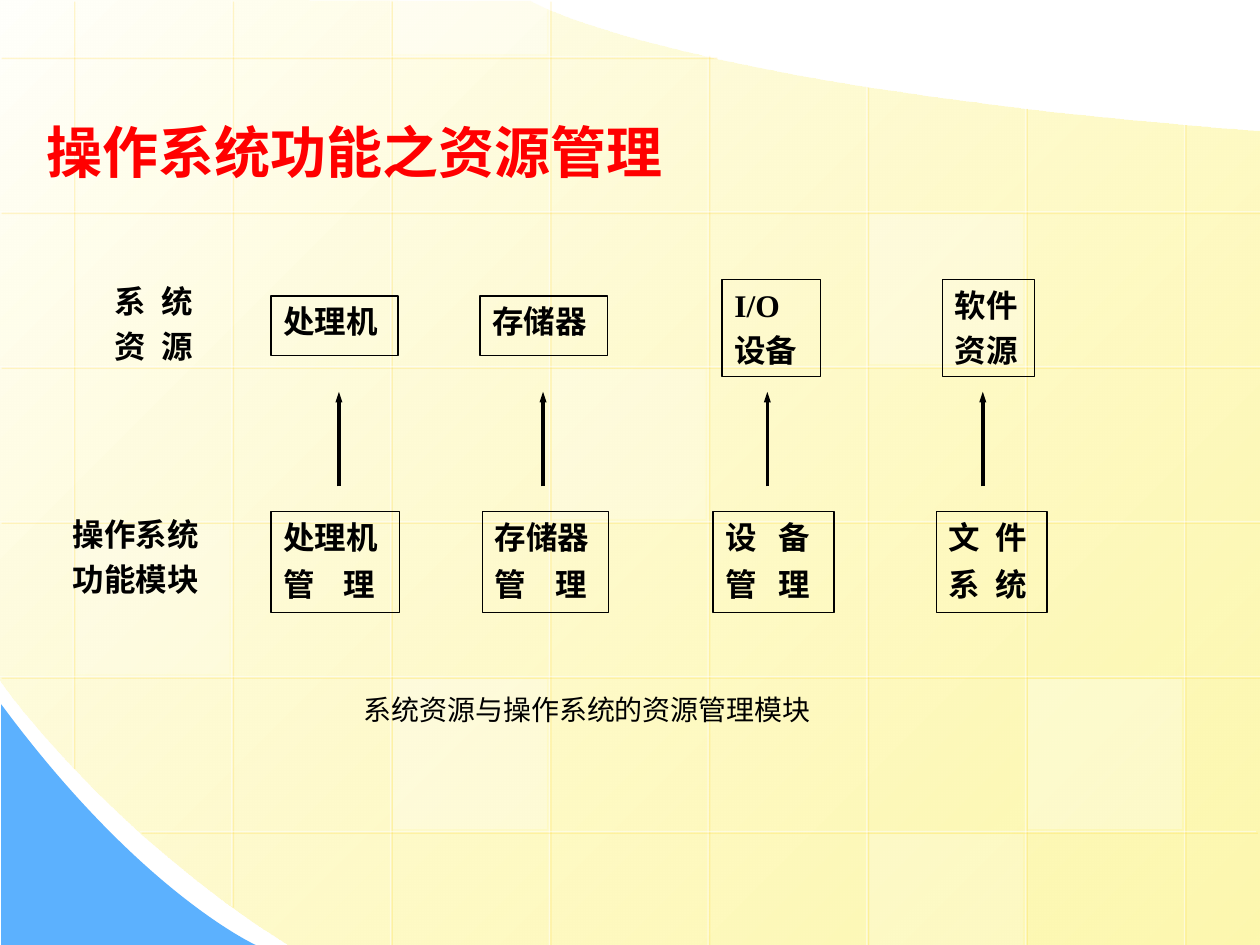
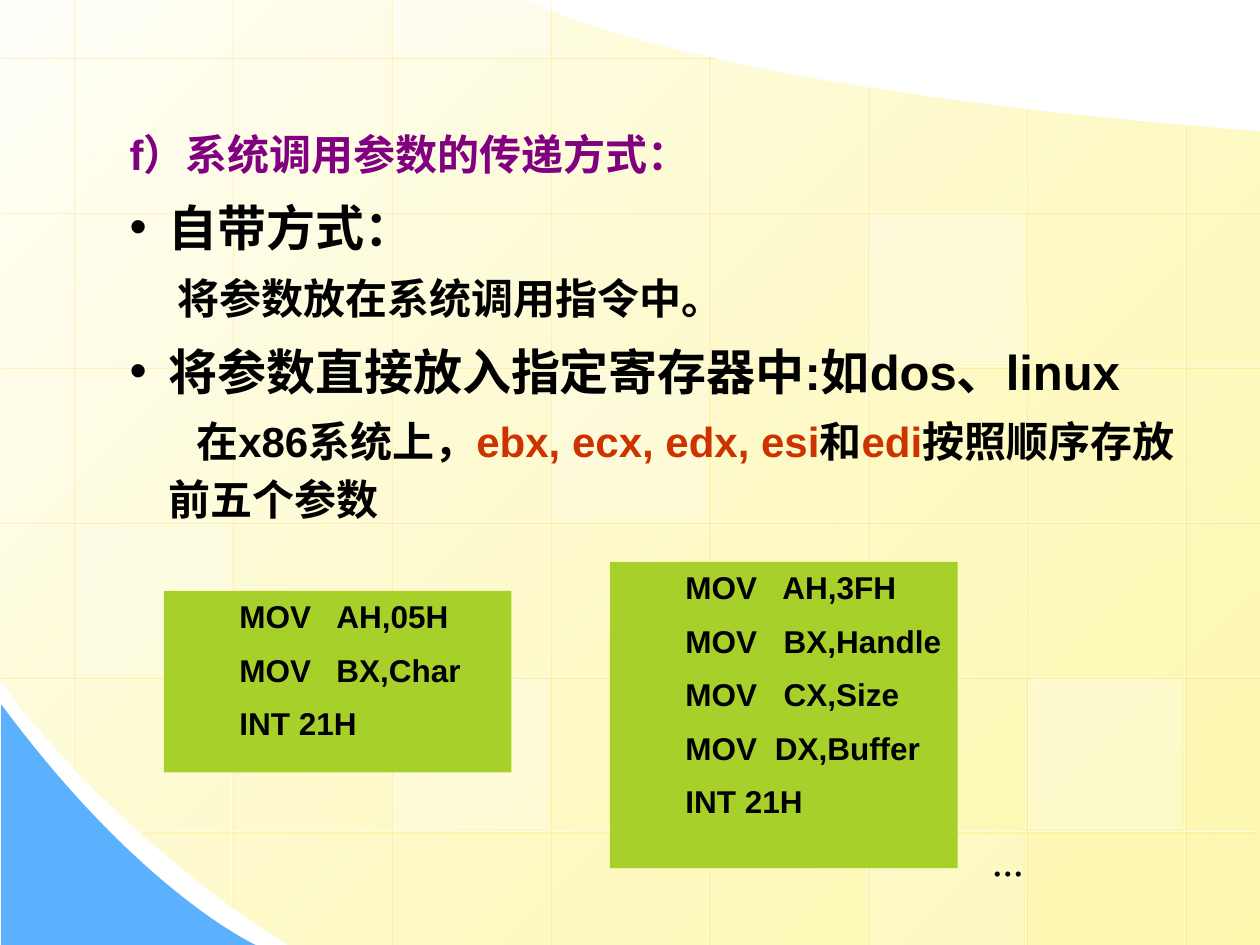
"""Two slides on operating system resource management and system call parameters."""
from itertools import cycle
from lxml.etree import SubElement
from pptx import Presentation
from pptx.dml.color import RGBColor
from pptx.enum.shapes import MSO_CONNECTOR, MSO_SHAPE
from pptx.enum.text import MSO_ANCHOR, PP_ALIGN
from pptx.oxml.ns import qn
from pptx.util import Inches, Pt

BLACK = RGBColor(0x00, 0x00, 0x00)
WHITE = RGBColor(0xFF, 0xFF, 0xFF)
RED = RGBColor(0xFF, 0x00, 0x00)
PURPLE = RGBColor(0x80, 0x00, 0x80)
ORANGE = RGBColor(0xCC, 0x33, 0x00)
GREEN = RGBColor(0xA8, 0xD0, 0x2A)
BLUE = RGBColor(0x5C, 0xB1, 0xFE)
CREAM = RGBColor(0xFF, 0xFF, 0xFB)
YELLOW = RGBColor(0xFD, 0xF5, 0x8D)
SERIF, SANS, CJK = "Times New Roman", "Arial", "Noto Sans CJK SC"

PAGE_W, PAGE_H = 10, 7.5
GRID_X, GRID_Y, CELL_W, CELL_H, GAP = 0.58, 0.45, 1.26, 1.23, 0.02
COLUMN_ENDS = [(0, 6.09), (0, 7.19), (0, 7.5), (0, 7.5),
               (0.43, 7.5), (0.68, 7.5), (0.85, 7.5), (0.98, 7.5)]
ROW_ENDS = [(0, 5.68)] + [(0, 10)] * 4 + [(1.11, 9.97)]
TILES = [(3, 2, 25), (6, 4, 30), (0, 3, 20), (5, 5, 20), (2, -1, 40), (2, 4, 30), (5, 1, 30)]
PAPER = [[(10, 1.04)], [(10, 4.27), (10, 7.5), (10, 7.5)],
         [(10, 7.5), (6.15, 7.5), (2.3, 7.5)], [(0.86, 6.61), (-0.01, 5.39), (0, 5.39)],
         [(-0.01, -0.01)], [(4.21, 0.01)], [(4.21, 0.01), (5.37, 0.69), (10, 1.04)]]
CORNER = [[(0.01, 5.59)], [(0.01, 7.5)], [(2.03, 7.5)],
          [(2.03, 7.5), (1.12, 7.09), (0.01, 5.59)]]

TITLE = "操作系统功能之资源管理"
CAPTION = "系统资源与操作系统的资源管理模块"
LABELS = [(["系\t统", "资\t源"], (0.81, 2.19, 1.06, 0.76), 0.37),
          (["操作系统", "功能模块"], (0.48, 4.04, 1.43, 0.76), None)]
RESOURCES = [(["处理机"], 2.15, 1.01), (["存储器"], 3.81, 1.01),
             (["I/O", "设备"], 5.73, 0.78), (["软件", "资源"], 7.48, 0.73)]
RESOURCE_SPANS = {1: (2.35, 0.47), 2: (2.22, 0.77)}
MODULES = [(["处理机", "管\t理"], 2.15, 1.02, 0.48), (["存储器", "管\t理"], 3.83, 1, 0.48),
           (["设\t备", "管\t理"], 5.66, 0.96, 0.42), (["文\t件", "系\t统"], 7.43, 0.88, 0.37)]
ARROWS_X = [2.69, 4.31, 6.09, 7.8]
MODULE_TOP, ARROW_TOP, ARROW_END = 4.06, 3.11, 3.86

HANG = 0.81
BODY = [([("f）系统调用参数的传递方式：", PURPLE)], 24, -0.31, False),
        ([("自带方式：", BLACK)], 28, -0.31, True),
        ([("将参数放在系统调用指令中。", BLACK)], 24, 0.07, False),
        ([("将参数直接放入指定寄存器中:如dos、linux", BLACK)], 28, -0.31, True),
        ([("在x86系统上，", BLACK), ("ebx, ecx, edx, esi", ORANGE), ("和", BLACK),
          ("edi", ORANGE), ("按照顺序存放前五个参数", BLACK)], 24, 0.22, False)]
CODE = [((1.3, 4.69, 2.76, 1.44), ["MOV\tAH,05H", "MOV\tBX,Char", "INT 21H"], [0.77]),
        ((4.84, 4.46, 2.76, 2.43), ["MOV\tAH,3FH", "MOV\tBX,Handle", "MOV\tCX,Size",
                                    "MOV\tDX,Buffer", "INT 21H"],
         [0.77, 0.78, 0.78, 0.71, 0.78])]


def set_alpha(clr, percent):
    SubElement(clr, qn("a:alpha"), val=str(percent * 1000))


def add_box(slide, box, fill=None, line=None):
    s = slide.shapes.add_shape(MSO_SHAPE.RECTANGLE, *map(Inches, box))
    s.shadow.inherit = False
    for part, color in ((s.fill, fill), (s.line.fill, line)):
        if color is None:
            part.background()
        else:
            part.solid()
            part.fore_color.rgb = color
    if line is not None:
        s.line.width = Pt(0.75)
    return s


def add_line(slide, start, end, color, width):
    s = slide.shapes.add_connector(MSO_CONNECTOR.STRAIGHT, *map(Inches, start + end))
    s.line.color.rgb = color
    s.line.width = Pt(width)
    return s, SubElement(s._element.spPr, qn("a:effectLst"))


def add_grid_line(slide, start, end):
    s, effects = add_line(slide, start, end, WHITE, 0.75)
    set_alpha(next(s._element.spPr.iter(qn("a:srgbClr"))), 50)
    shadow = SubElement(effects, qn("a:outerShdw"), dist=str(Pt(1.4)), dir="2700000")
    set_alpha(SubElement(shadow, qn("a:srgbClr"), val="FFCC00"), 34)


def add_outline(slide, segments):
    points = [(x * 1000, y * 1000) for seg in segments for x, y in seg]
    builder = slide.shapes.build_freeform(*points[0], scale=Inches(1) / 1000)
    builder.add_line_segments(points[1:], close=True)
    s = builder.convert_to_shape()
    s.shadow.inherit = False
    s.line.fill.background()
    steps = iter(list(s._element.iter(qn("a:lnTo"))))
    for seg in segments[1:]:
        parts = [next(steps) for _ in seg]
        if len(parts) == 3:
            curve = SubElement(parts[0].getparent(), qn("a:cubicBezTo"))
            parts[0].addprevious(curve)
            for part in parts:
                curve.append(part[0])
                part.getparent().remove(part)
    return s


def add_background(slide):
    paper = add_outline(slide, PAPER)
    paper.fill.gradient()
    paper.fill.gradient_angle = 315
    for stop, color, position in zip(paper.fill.gradient_stops, (CREAM, YELLOW), (0, 1)):
        stop.color.rgb = color
        stop.position = position
    set_alpha(list(paper._element.spPr.iter(qn("a:srgbClr")))[-1], 70)
    corner = add_outline(slide, CORNER)
    corner.fill.solid()
    corner.fill.fore_color.rgb = BLUE
    for i, (top, bottom) in enumerate(COLUMN_ENDS):
        x = GRID_X + i * CELL_W
        add_grid_line(slide, (x, top), (x, bottom))
    for j, (left, right) in enumerate(ROW_ENDS):
        y = GRID_Y + j * CELL_H
        add_grid_line(slide, (right, y), (left, y))
    for col, row, opacity in TILES:
        x, y = GRID_X + col * CELL_W + GAP, GRID_Y + row * CELL_H + GAP
        top, bottom = max(y, 0), min(y + CELL_H - 2 * GAP, PAGE_H)
        s = add_box(slide, (x, top, CELL_W - 2 * GAP, bottom - top), WHITE)
        set_alpha(next(s._element.spPr.iter(qn("a:srgbClr"))), opacity)


def add_run(p, text, size, color=BLACK, font=SANS, bold=True):
    r = p.add_run()
    r.text = text
    for name, value in dict(name=font, size=Pt(size), bold=bold).items():
        setattr(r.font, name, value)
    r.font.color.rgb = color
    SubElement(r._r.get_or_add_rPr(), qn("a:ea"), typeface=SANS if font == SERIF else font)


def prepare_frame(s, inset=0.1, top=0.05, right=0.1):
    tf = s.text_frame
    settings = dict(word_wrap=True, vertical_anchor=MSO_ANCHOR.TOP, margin_left=Inches(inset),
                    margin_right=Inches(right), margin_top=Inches(top), margin_bottom=0)
    for name, value in settings.items():
        setattr(tf, name, value)
    return tf


def next_paragraph(tf, first, before=0, spacing=None):
    p = tf.paragraphs[0] if first else tf.add_paragraph()
    p.alignment = PP_ALIGN.LEFT
    p.line_spacing = spacing
    if not first:
        p.space_before = Pt(before)
    return p


def write_lines(s, lines, size=18, before=0, tabs=(None,), inset=0.1, top=0.05, **style):
    tf = prepare_frame(s, inset, top, 0.05)
    for i, (text, tab) in enumerate(zip(lines, cycle(tabs))):
        p = next_paragraph(tf, i == 0, before)
        if tab:
            stops = SubElement(p._p.get_or_add_pPr(), qn("a:tabLst"))
            SubElement(stops, qn("a:tab"), pos=str(Inches(tab)), algn="l")
        add_run(p, text, size, **style)


def add_text(slide, box, lines, **style):
    write_lines(slide.shapes.add_textbox(*map(Inches, box)), lines, **style)


def build_resources(slide):
    for lines, box, tab in LABELS:
        add_text(slide, box, lines, before=4, tabs=[tab], font=SERIF)
    for lines, left, width in RESOURCES:
        top, height = RESOURCE_SPANS[len(lines)]
        s = add_box(slide, (left, top, width, height), line=BLACK)
        write_lines(s, lines, before=4, font=SERIF)
    for lines, left, width, tab in MODULES:
        s = add_box(slide, (left, MODULE_TOP, width, 0.8), line=BLACK)
        write_lines(s, lines, before=5.5, tabs=[tab], font=SERIF)
    for x in ARROWS_X:
        s, _ = add_line(slide, (x, ARROW_END), (x, ARROW_TOP), BLACK, 2)
        SubElement(s.line._get_or_add_ln(), qn("a:tailEnd"), type="triangle", w="sm")
    add_text(slide, (2.79, 5.45, 3.83, 0.37), [CAPTION], size=16, font=SERIF, bold=False)
    add_text(slide, (0.27, 0.77, 7.08, 0.75), [TITLE], size=32, color=RED, top=0.16)


def build_parameters(slide):
    tf = prepare_frame(slide.shapes.add_textbox(*map(Inches, (0.43, 0.91, 9, 5.83))))
    for i, (runs, size, indent, bullet) in enumerate(BODY):
        p = next_paragraph(tf, i == 0, size * 0.2, 1.15)
        pPr = p._p.get_or_add_pPr()
        pPr.set("marL", str(Inches(HANG)))
        pPr.set("indent", str(Inches(indent)))
        if bullet:
            SubElement(pPr, qn("a:buFont"), typeface=SANS)
            SubElement(pPr, qn("a:buChar"), char="•")
        else:
            SubElement(pPr, qn("a:buNone"))
        for text, color in runs:
            add_run(p, text, size, color)
    add_text(slide, (7.28, 6.74, 1.65, 0.45), ["…"], inset=0.6, font=CJK)
    for box, lines, tabs in CODE:
        write_lines(add_box(slide, box, GREEN), lines, before=9, tabs=tabs, inset=0.6)


def main():
    prs = Presentation()
    prs.slide_width, prs.slide_height = Inches(PAGE_W), Inches(PAGE_H)
    for build in (build_resources, build_parameters):
        slide = prs.slides.add_slide(prs.slide_layouts[6])
        add_background(slide)
        build(slide)
    prs.save("out.pptx")


if __name__ == "__main__":
    main()
